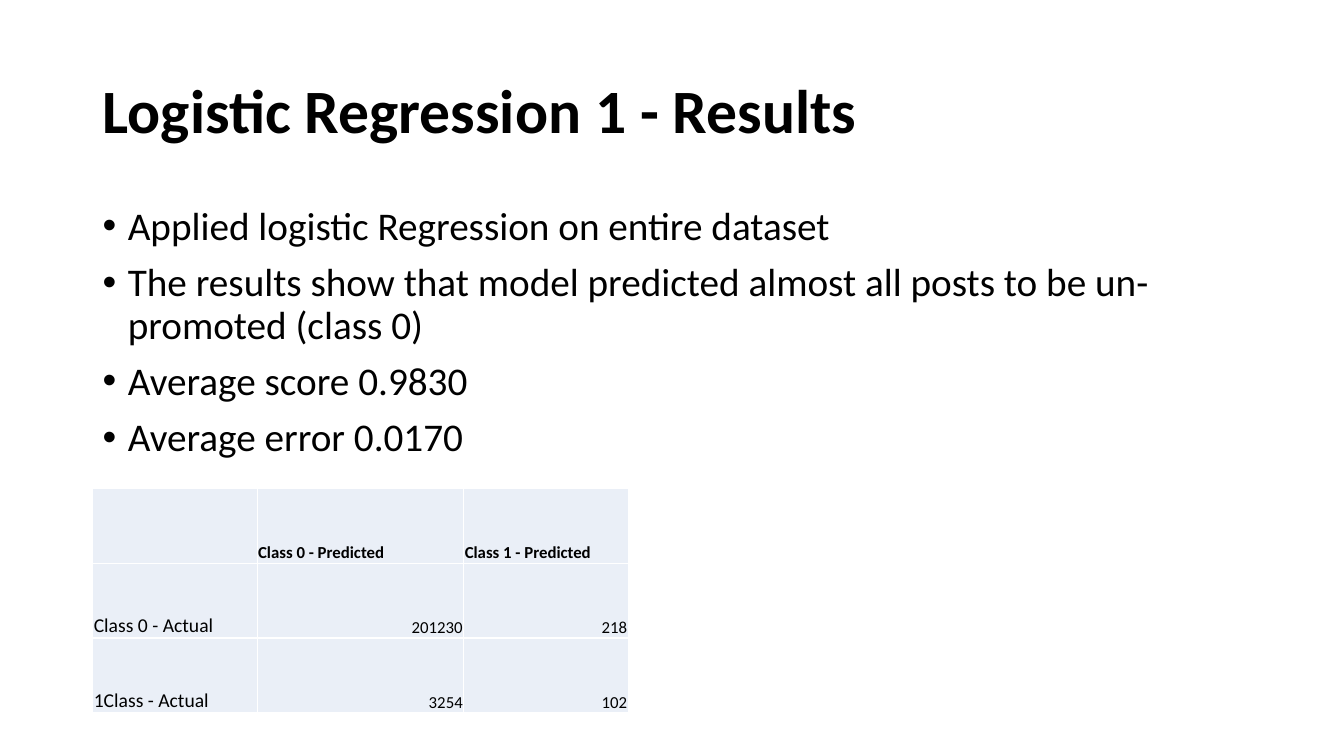
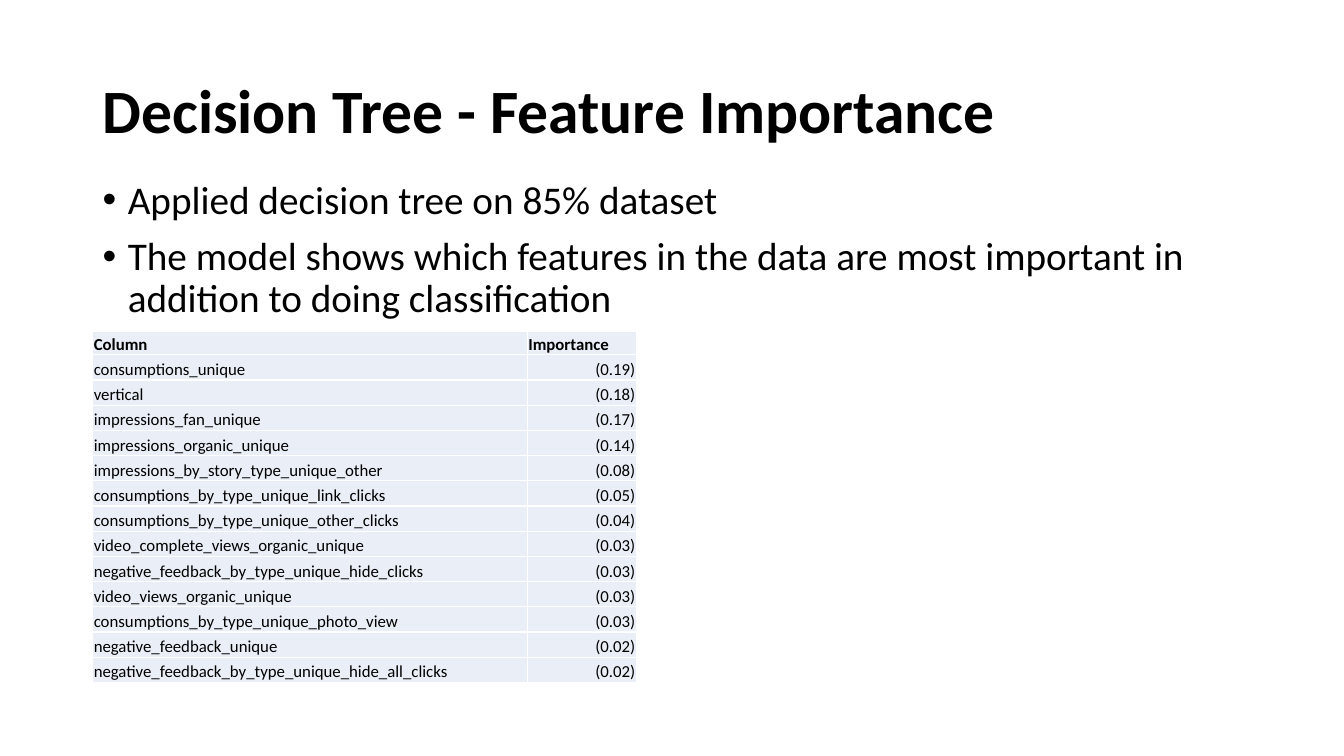
import pptx
import pptx.dml.color
import pptx.enum.text
import pptx.oxml
import pptx.oxml.ns
import pptx.util
from pptx.util import Inches

COLORS = {"text": "000000", "cell": "EAEFF7", "border": "FFFFFF"}
FONT = "Calibri"
LEFT, WIDTH = 0.92, 11.5
ANCHOR = pptx.enum.text.MSO_ANCHOR
ALIGN = pptx.enum.text.PP_ALIGN
NS = pptx.oxml.ns.nsdecls("a")

slides = [
    {
        "title": "Logistic Regression 1 - Results",
        "body_top": 2,
        "bullets": [
            "Applied logistic Regression on entire dataset",
            "The results show that model predicted almost all posts to be "
            "un-promoted (class 0)",
            "Average score 0.9830",
            "Average error 0.0170",
        ],
        "table_top": 4.85,
        "cols": [1.63, 2.05, 1.63],
        "header_height": 0.74,
        "row_height": 0.74,
        "label_size": 14,
        "rows": [
            ("", "Class 0 - Predicted", "Class 1 - Predicted"),
            ("Class 0 - Actual", "201230", "218"),
            ("1Class - Actual", "3254", "102"),
        ],
    },
    {
        "title": "Decision Tree - Feature Importance",
        "body_top": 1.74,
        "bullets": [
            "Applied decision tree on 85% dataset",
            "The model shows which features in the data are most important in "
            "addition to doing classification",
        ],
        "table_top": 3.29,
        "cols": [4.31, 1.08],
        "header_height": 0.23,
        "row_height": 0.25,
        "label_size": 12,
        "rows": [
            ("Column", "Importance"),
            ("consumptions_unique", "(0.19)"),
            ("vertical", "(0.18)"),
            ("impressions_fan_unique", "(0.17)"),
            ("impressions_organic_unique", "(0.14)"),
            ("impressions_by_story_type_unique_other", "(0.08)"),
            ("consumptions_by_type_unique_link_clicks", "(0.05)"),
            ("consumptions_by_type_unique_other_clicks", "(0.04)"),
            ("video_complete_views_organic_unique", "(0.03)"),
            ("negative_feedback_by_type_unique_hide_clicks", "(0.03)"),
            ("video_views_organic_unique", "(0.03)"),
            ("consumptions_by_type_unique_photo_view", "(0.03)"),
            ("negative_feedback_unique", "(0.02)"),
            ("negative_feedback_by_type_unique_hide_all_clicks", "(0.02)"),
        ],
    },
]


def add_run(p, text, size, bold=False):
    """Add one run in the deck's font and text colour."""
    r = p.add_run()
    r.text = text
    r.font.name = FONT
    r.font.size = pptx.util.Pt(size)
    r.font.bold = bold
    r.font.color.rgb = pptx.dml.color.RGBColor.from_string(COLORS["text"])


def style_cell(cell):
    """Give a cell its margins, bottom anchor, white borders and fill."""
    cell.margin_left = cell.margin_right = cell.margin_top = Inches(0.01)
    cell.margin_bottom = 0
    cell.vertical_anchor = ANCHOR.BOTTOM
    tcPr = cell._tc.get_or_add_tcPr()
    for side in ("lnL", "lnR", "lnT", "lnB"):
        tcPr.append(pptx.oxml.parse_xml(
            f'<a:{side} {NS} w="12700"><a:solidFill>'
            f'<a:srgbClr val="{COLORS["border"]}"/></a:solidFill></a:{side}>'))
    cell.fill.solid()
    cell.fill.fore_color.rgb = pptx.dml.color.RGBColor.from_string(COLORS["cell"])


prs = pptx.Presentation()
prs.slide_width, prs.slide_height = Inches(13.33), Inches(7.5)

for data in slides:
    s = prs.slides.add_slide(prs.slide_layouts[6])

    title = s.shapes.add_textbox(Inches(LEFT), Inches(0.4), Inches(WIDTH), Inches(1.45))
    tf = title.text_frame
    tf.word_wrap = True
    tf.vertical_anchor = ANCHOR.MIDDLE
    p = tf.paragraphs[0]
    p.line_spacing = 0.9
    add_run(p, data["title"], 44, bold=True)

    body = s.shapes.add_textbox(
        Inches(LEFT), Inches(data["body_top"]), Inches(WIDTH), Inches(4.76))
    tf = body.text_frame
    tf.word_wrap = True
    for i, text in enumerate(data["bullets"]):
        p = tf.add_paragraph() if i else tf.paragraphs[0]
        p.line_spacing = 0.9
        p.space_before = pptx.util.Pt(10)
        pPr = p._p.get_or_add_pPr()
        pPr.set("marL", str(Inches(0.25)))
        pPr.set("indent", str(-Inches(0.25)))
        pPr.append(pptx.oxml.parse_xml(f'<a:buFont {NS} typeface="Arial"/>'))
        pPr.append(pptx.oxml.parse_xml(f'<a:buChar {NS} char="\u2022"/>'))
        add_run(p, text, 28)

    rows, cols = data["rows"], data["cols"]
    heights = [data["header_height"]] + [data["row_height"]] * (len(rows) - 1)
    table = s.shapes.add_table(
        len(rows), len(cols), Inches(LEFT), Inches(data["table_top"]),
        Inches(sum(cols)), Inches(sum(heights))).table
    table.first_row = table.horz_banding = False
    for col, width in zip(table.columns, cols):
        col.width = Inches(width)
    for i, values in enumerate(rows):
        table.rows[i].height = Inches(heights[i])
        for j, value in enumerate(values):
            cell = table.cell(i, j)
            style_cell(cell)
            if not value:
                continue
            p = cell.text_frame.paragraphs[0]
            if i and j:
                p.alignment = ALIGN.RIGHT
            size = data["label_size"] if i and not j else 12
            add_run(p, value, size, bold=i == 0)

prs.save("out.pptx")
